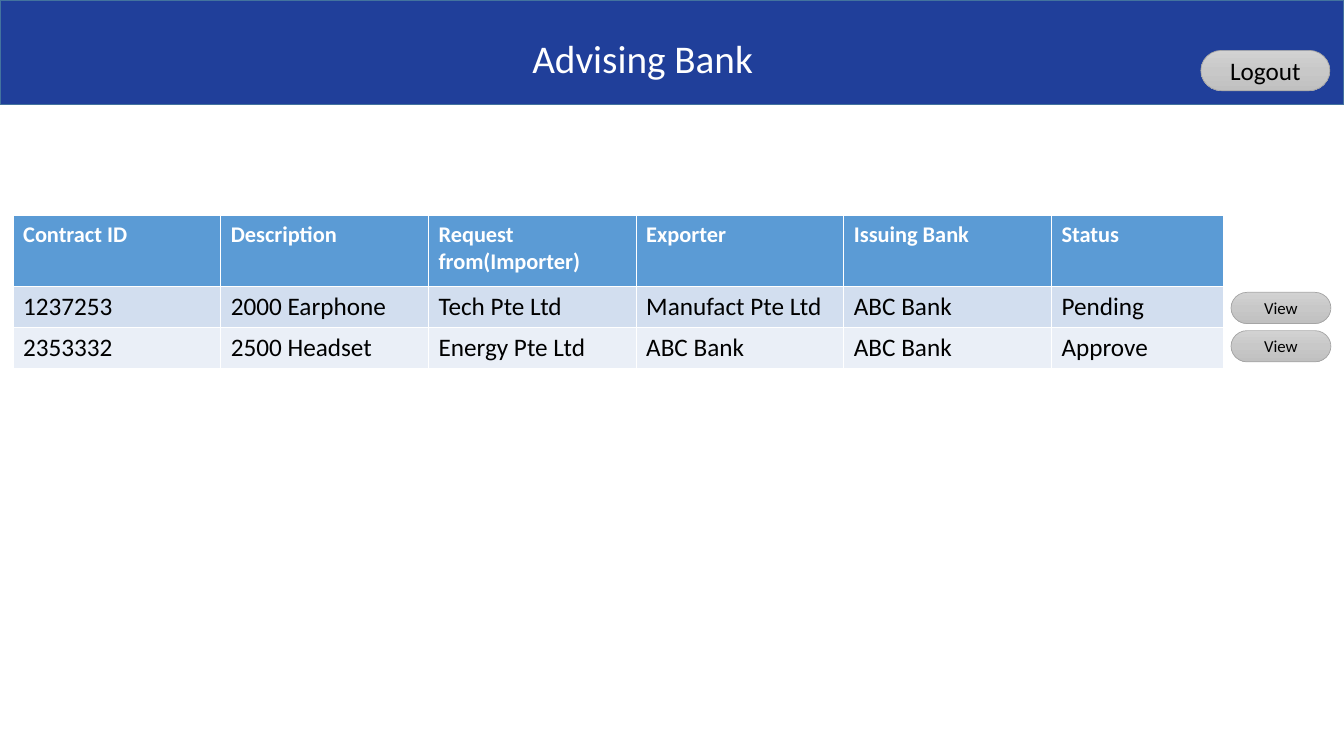
from copy import deepcopy
from pptx import Presentation
from pptx.dml.color import RGBColor
from pptx.enum import shapes as sh, text as tx
from pptx.oxml.ns import qn
from pptx.util import Inches, Pt

NAVY = RGBColor(0x20, 0x3F, 0x9A)
EDGE = RGBColor(0x43, 0x73, 0x9E)
BLUE = RGBColor(0x5B, 0x9B, 0xD5)
PALE = RGBColor(0xD2, 0xDE, 0xEF)
MIST = RGBColor(0xEA, 0xEF, 0xF7)
WHITE = RGBColor(0xFF, 0xFF, 0xFF)
BLACK = RGBColor(0, 0, 0)
GREY = RGBColor(0xA5, 0xA5, 0xA5)
SHADES = [RGBColor(0xD2, 0xD2, 0xD2), RGBColor(0xC8, 0xC8, 0xC8), RGBColor(0xC0, 0xC0, 0xC0)]


def style(para, size, color, bold=False):
    font = para.font
    font.name, font.size, font.bold = "Calibri", Pt(size), bold
    font.color.rgb = color


def button(label, left, top, width, height, size):
    shape = slide.shapes.add_shape(
        sh.MSO_SHAPE.FLOWCHART_TERMINATOR,
        Inches(left), Inches(top), Inches(width), Inches(height))
    shape.shadow.inherit = False
    shape.fill.gradient()
    shape.fill.gradient_angle = 270
    stops = shape._element.spPr.find(".//" + qn("a:gsLst"))
    stops.insert(1, deepcopy(stops[0]))
    for i, stop in enumerate(shape.fill.gradient_stops):
        stop.position = i / 2
        stop.color.rgb = SHADES[i]
    shape.line.color.rgb = GREY
    shape.line.width = Pt(0.5)
    frame = shape.text_frame
    frame.text = label
    frame.vertical_anchor = tx.MSO_ANCHOR.MIDDLE
    para = frame.paragraphs[0]
    para.alignment = tx.PP_ALIGN.CENTER
    style(para, size, BLACK)


deck = Presentation()
deck.slide_width, deck.slide_height = Inches(13.33), Inches(7.5)
slide = deck.slides.add_slide(deck.slide_layouts[5])

banner = slide.shapes.add_shape(
    sh.MSO_SHAPE.RECTANGLE, 0, 0, deck.slide_width, Inches(1.04))
banner.shadow.inherit = False
banner.fill.solid()
banner.fill.fore_color.rgb = NAVY
banner.line.color.rgb = EDGE
banner.line.width = Pt(1)

rows = [
    ["Contract ID", "Description", "Request from(Importer)", "Exporter", "Issuing Bank", "Status"],
    ["1237253", "2000 Earphone", "Tech Pte Ltd", "Manufact Pte Ltd", "ABC Bank", "Pending"],
    ["2353332", "2500 Headset", "Energy Pte Ltd", "ABC Bank", "ABC Bank", "Approve"],
]
looks = [(0.7, BLUE, 16, WHITE, True), (0.41, PALE, 18, BLACK, False), (0.41, MIST, 18, BLACK, False)]
table = slide.shapes.add_table(
    3, 6, Inches(0.13), Inches(2.14), Inches(12), Inches(1.51)).table
for i, col in enumerate(table.columns):
    col.width = Inches(2.06 if i < 5 else 1.71)
for row, words, (height, fill, size, color, bold) in zip(table.rows, rows, looks):
    row.height = Inches(height)
    for cell, word in zip(row.cells, words):
        cell.text = word
        cell.fill.solid()
        cell.fill.fore_color.rgb = fill
        style(cell.text_frame.paragraphs[0], size, color, bold)

button("Logout", 11.91, 0.5, 1.28, 0.4, 18)
for i in range(2):
    button("View", 12.21, 2.9 + 0.38 * i, 0.99, 0.31, 12)

title = slide.shapes.title
slide.shapes._spTree.append(title._element)
title.left, title.top = Inches(5.18), Inches(0.34)
title.width, title.height = Inches(3.01), Inches(0.4)
frame = title.text_frame
frame.text = "Advising Bank"
frame.word_wrap = True
frame.auto_size = tx.MSO_AUTO_SIZE.NONE
frame.vertical_anchor = tx.MSO_ANCHOR.TOP
para = frame.paragraphs[0]
para.alignment = tx.PP_ALIGN.LEFT
para.line_spacing = 0.9
style(para, 28, WHITE)

deck.save("out.pptx")
